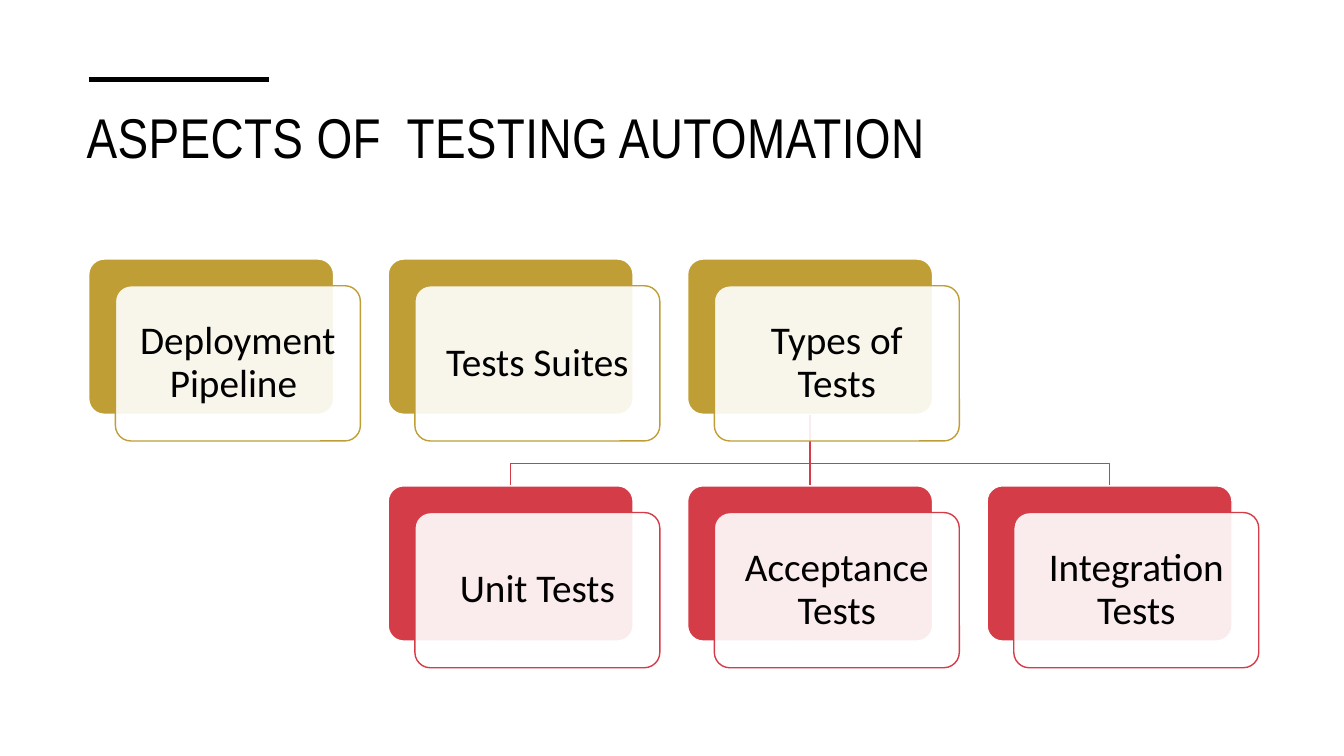
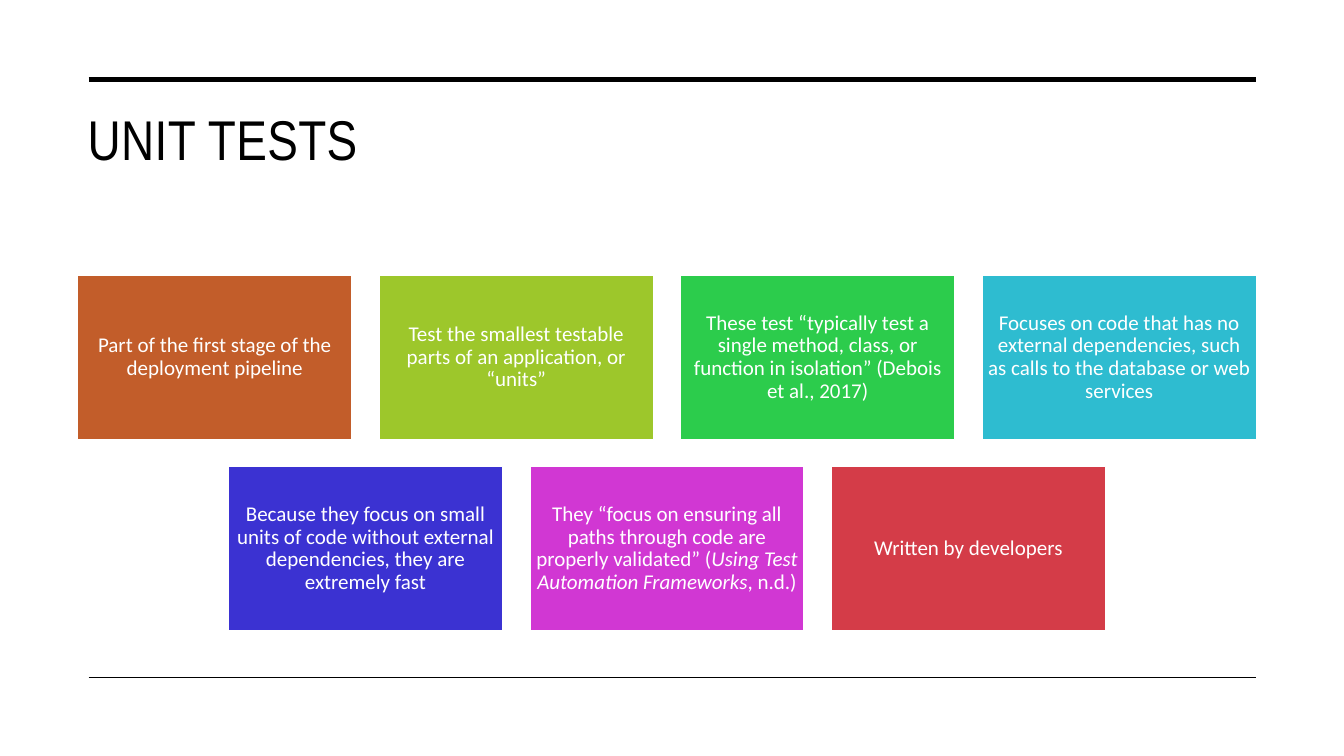
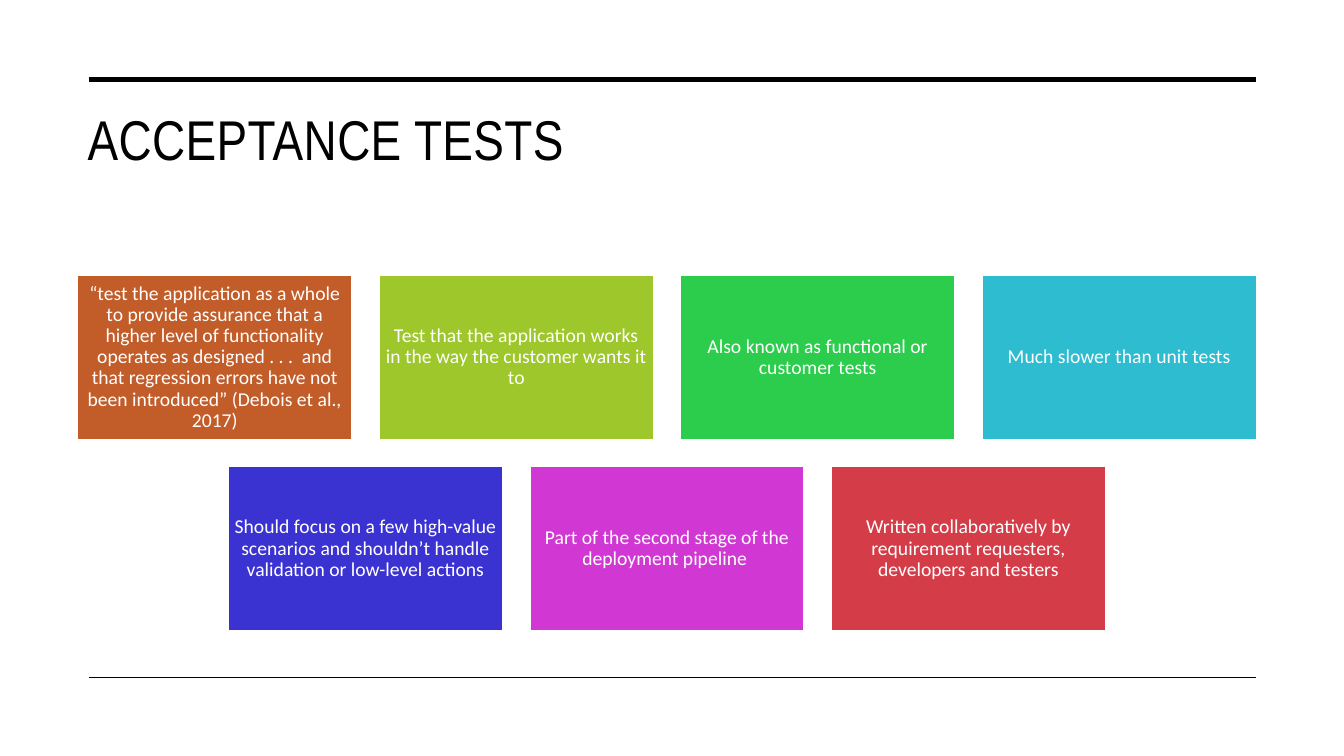
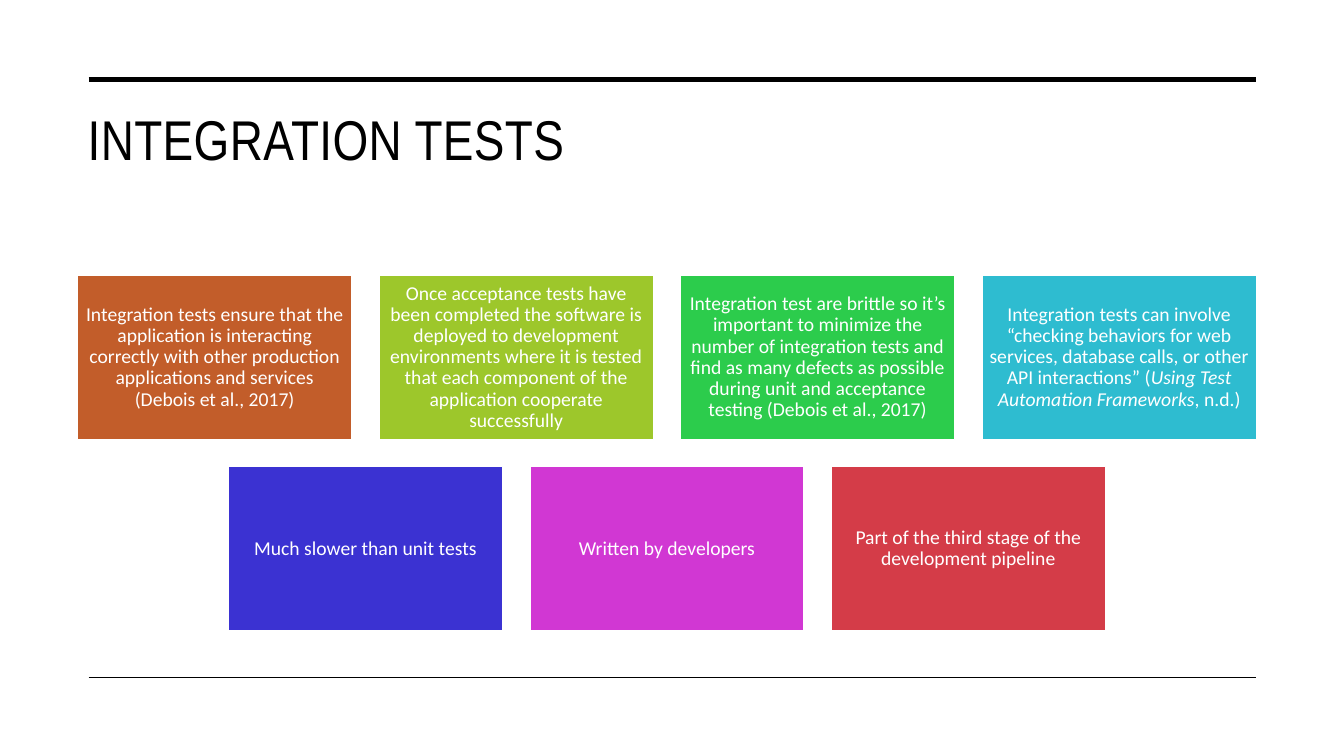
from dataclasses import dataclass

from pptx import Presentation
from pptx.dml.color import RGBColor
from pptx.enum.shapes import MSO_CONNECTOR as Connector, MSO_SHAPE as Shape
from pptx.enum.text import MSO_ANCHOR as Anchor, MSO_AUTO_SIZE as AutoSize, PP_ALIGN as Align
from pptx.oxml.ns import qn
from pptx.util import Inches, Pt
from lxml.etree import SubElement


@dataclass(frozen=True)
class Theme:
    ink: str = "000000"
    paper: str = "FFFFFF"
    gold: str = "C09E36"
    red: str = "D43C48"
    tiles: tuple = ("C25D2A", "9DC72B", "2CCC4C", "2EBCD0", "3B32D2", "D137D3", "D43C48")
    title_font: str = "Arial Narrow"
    body_font: str = "Calibri"
    title_size: int = 40
    card_size: int = 28
    thick: float = 3.5
    thin: float = 1


THEME = Theme()

# Content: asterisks enclose italic words
OVERVIEW_TITLE = "ASPECTS OF  TESTING AUTOMATION "
ASPECTS = ["Deployment Pipeline ", "Tests Suites", "Types of Tests"]
TEST_TYPES = ["Unit Tests", "Acceptance Tests", "Integration Tests"]

# Title, text size, statements
TOPICS = [
    ("UNIT TESTS", 15, [
        "Part of the first stage of the deployment pipeline",
        "Test the smallest testable parts of an application, or “units”",
        "These test “typically test a single method, class, or function in isolation” "
        "(Debois et al., 2017)",
        "Focuses on code that has no external dependencies, such as calls to the database "
        "or web services",
        "Because they focus on small units of code without external dependencies, "
        "they are extremely fast",
        "They “focus on ensuring all paths through code are properly validated” "
        "(*Using Test Automation Frameworks*, n.d.)",
        "Written by developers",
    ]),
    ("ACCEPTANCE TESTS", 14, [
        "“test the application as a whole to provide assurance that a higher level of "
        "functionality operates as designed . . .  and that regression errors have not "
        "been introduced” (Debois et al., 2017)",
        "Test that the application works in the way the customer wants it to",
        "Also known as functional or customer tests",
        "Much slower than unit tests",
        "Should focus on a few high-value scenarios and shouldn’t handle validation or "
        "low-level actions",
        "Part of the second stage of the deployment pipeline ",
        "Written collaboratively by requirement requesters, developers and testers",
    ]),
    ("INTEGRATION TESTS", 14, [
        "Integration tests ensure that the application is interacting correctly with other "
        "production applications and services (Debois et al., 2017)",
        "Once acceptance tests have been completed the software is deployed to development "
        "environments where it is tested that each component of the application cooperate "
        "successfully",
        "Integration test are brittle so it’s important to minimize the number of "
        "integration tests and find as many defects as possible during unit and acceptance "
        "testing (Debois et al., 2017)",
        "Integration tests can involve “checking behaviors for web services, database calls, "
        "or other API interactions” (*Using Test Automation Frameworks*, n.d.)",
        "Much slower than unit tests",
        "Written by developers",
        "Part of the third stage of the development pipeline",
    ]),
]

# Geometry in inches
RULE_LEFT, RULE_RIGHT, RULE_TOP, RULE_BOTTOM = 0.88, 12.46, 0.79, 6.72
CARD_LEFT, CARD_PITCH, CARD_W, CARD_H = 0.88, 2.97, 2.43, 1.54
PANEL_SHIFT = 0.265
ASPECT_TOP, TYPE_TOP, BRANCH_Y = 2.57, 4.82, 4.6
TILE_LEFT, TILE_TOP, TILE_W, TILE_H, TILE_GAP = 0.77, 2.73, 2.72, 1.63, 0.27
TILES_PER_ROW = 4


def color(value):
    return RGBColor.from_string(value)


def style_line(shape, value, width):
    shape.line.color.rgb = color(value)
    shape.line.width = Pt(width)


def add_line(slide, x1, y1, x2, y2, value, width):
    line = slide.shapes.add_connector(
        Connector.STRAIGHT, Inches(x1), Inches(y1), Inches(x2), Inches(y2))
    style_line(line, value, width)
    SubElement(line._element.spPr, qn("a:effectLst"))


def add_box(slide, kind, x, y, w, h, fill, outline):
    box = slide.shapes.add_shape(kind, Inches(x), Inches(y), Inches(w), Inches(h))
    box.shadow.inherit = False
    box.fill.solid()
    box.fill.fore_color.rgb = color(fill)
    style_line(box, outline, THEME.thin)
    if kind == Shape.ROUNDED_RECTANGLE:
        box.adjustments[0] = 0.1
    return box


def write(box, text, size, value, inset):
    frame = box.text_frame
    frame.word_wrap = True
    frame.vertical_anchor = Anchor.MIDDLE
    frame.margin_left = frame.margin_right = Inches(inset)
    frame.margin_top = frame.margin_bottom = Inches(inset)
    paragraph = frame.paragraphs[0]
    paragraph.alignment = Align.CENTER
    paragraph.line_spacing = 0.9
    for index, part in enumerate(text.split("*")):
        run = paragraph.add_run()
        run.text = part
        run.font.name = THEME.body_font
        run.font.size = Pt(size)
        run.font.color.rgb = color(value)
        run.font.italic = index % 2 == 1


def add_titled_slide(deck, title, x, y, w, h, rule_right):
    slide = deck.slides.add_slide(deck.slide_layouts[5])
    heading = slide.shapes.title
    heading.left, heading.top, heading.width, heading.height = map(Inches, (x, y, w, h))
    frame = heading.text_frame
    frame.text = title
    frame.word_wrap = True
    frame.auto_size = AutoSize.NONE
    frame.vertical_anchor = Anchor.TOP
    frame.paragraphs[0].alignment = Align.LEFT
    run = frame.paragraphs[0].runs[0]
    run.font.name = THEME.title_font
    run.font.size = Pt(THEME.title_size)
    run.font.color.rgb = color(THEME.ink)
    run.font._element.set("spc", "30")
    add_line(slide, RULE_LEFT, RULE_TOP, rule_right, RULE_TOP, THEME.ink, THEME.thick)
    return slide


def card_x(column):
    return CARD_LEFT + column * CARD_PITCH


def add_card(slide, column, top, text, accent):
    left = card_x(column)
    add_box(slide, Shape.ROUNDED_RECTANGLE, left, top, CARD_W, CARD_H, accent, THEME.paper)
    panel = add_box(slide, Shape.ROUNDED_RECTANGLE, left + PANEL_SHIFT, top + PANEL_SHIFT,
                    CARD_W, CARD_H, THEME.paper, accent)
    fill = panel._element.spPr.find(qn("a:solidFill"))
    SubElement(fill[0], qn("a:alpha")).set("val", "90000")
    write(panel, text, THEME.card_size, THEME.ink, 0.16)


def add_branch(slide, parent_column, child_column):
    start, end = (card_x(column) + CARD_W / 2 for column in (parent_column, child_column))
    top = ASPECT_TOP + CARD_H
    if start == end:
        add_line(slide, start, top, end, TYPE_TOP, THEME.red, THEME.thin)
        return
    outline = slide.shapes.build_freeform(Inches(start), Inches(top))
    corners = [(start, BRANCH_Y), (end, BRANCH_Y), (end, TYPE_TOP)]
    outline.add_line_segments([(Inches(x), Inches(y)) for x, y in corners], close=False)
    branch = outline.convert_to_shape()
    branch.shadow.inherit = False
    branch.fill.background()
    style_line(branch, THEME.red, THEME.thin)


def build_overview(deck):
    slide = add_titled_slide(deck, OVERVIEW_TITLE, 0.76, 0.97, 11.81, 1.15, 2.67)
    parent = len(ASPECTS) - 1
    # Branches lie behind the cards
    for child in range(1, len(TEST_TYPES) + 1):
        add_branch(slide, parent, child)
    for column, text in enumerate(ASPECTS):
        add_card(slide, column, ASPECT_TOP, text, THEME.gold)
    for column, text in enumerate(TEST_TYPES, 1):
        add_card(slide, column, TYPE_TOP, text, THEME.red)


def build_topic(deck, title, size, statements):
    slide = add_titled_slide(deck, title, 0.77, 0.99, 11.69, 1.26, RULE_RIGHT)
    add_line(slide, RULE_LEFT, RULE_BOTTOM, RULE_RIGHT, RULE_BOTTOM, THEME.ink, THEME.thin)
    pitch = TILE_W + TILE_GAP
    for index, (text, fill) in enumerate(zip(statements, THEME.tiles)):
        row, column = divmod(index, TILES_PER_ROW)
        in_row = min(TILES_PER_ROW, len(statements) - row * TILES_PER_ROW)
        # A shorter row is centred under the full one
        x = TILE_LEFT + (column + (TILES_PER_ROW - in_row) / 2) * pitch
        y = TILE_TOP + row * (TILE_H + TILE_GAP)
        tile = add_box(slide, Shape.RECTANGLE, x, y, TILE_W, TILE_H, fill, THEME.paper)
        write(tile, text, size, THEME.paper, 0.06)


def main():
    deck = Presentation()
    deck.slide_width, deck.slide_height = Inches(13.33), Inches(7.5)
    build_overview(deck)
    for topic in TOPICS:
        build_topic(deck, *topic)
    deck.save("out.pptx")


if __name__ == "__main__":
    main()
